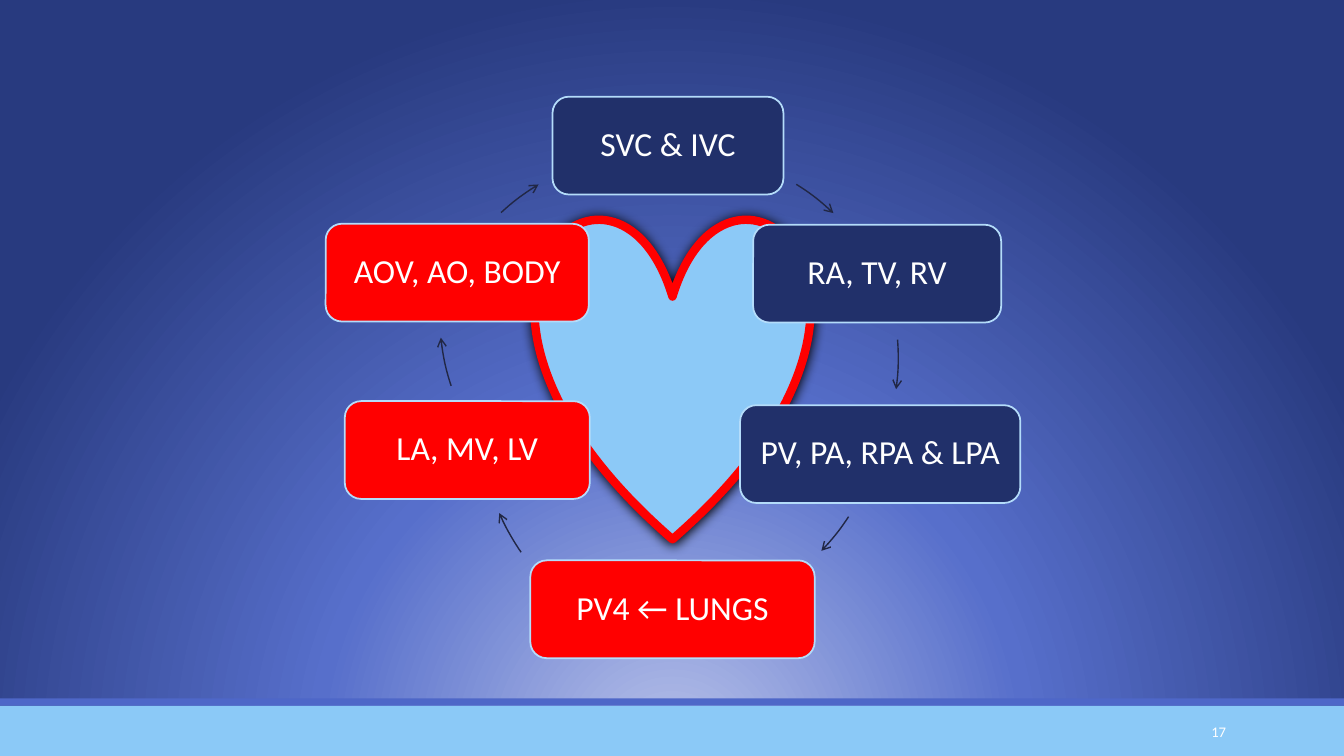
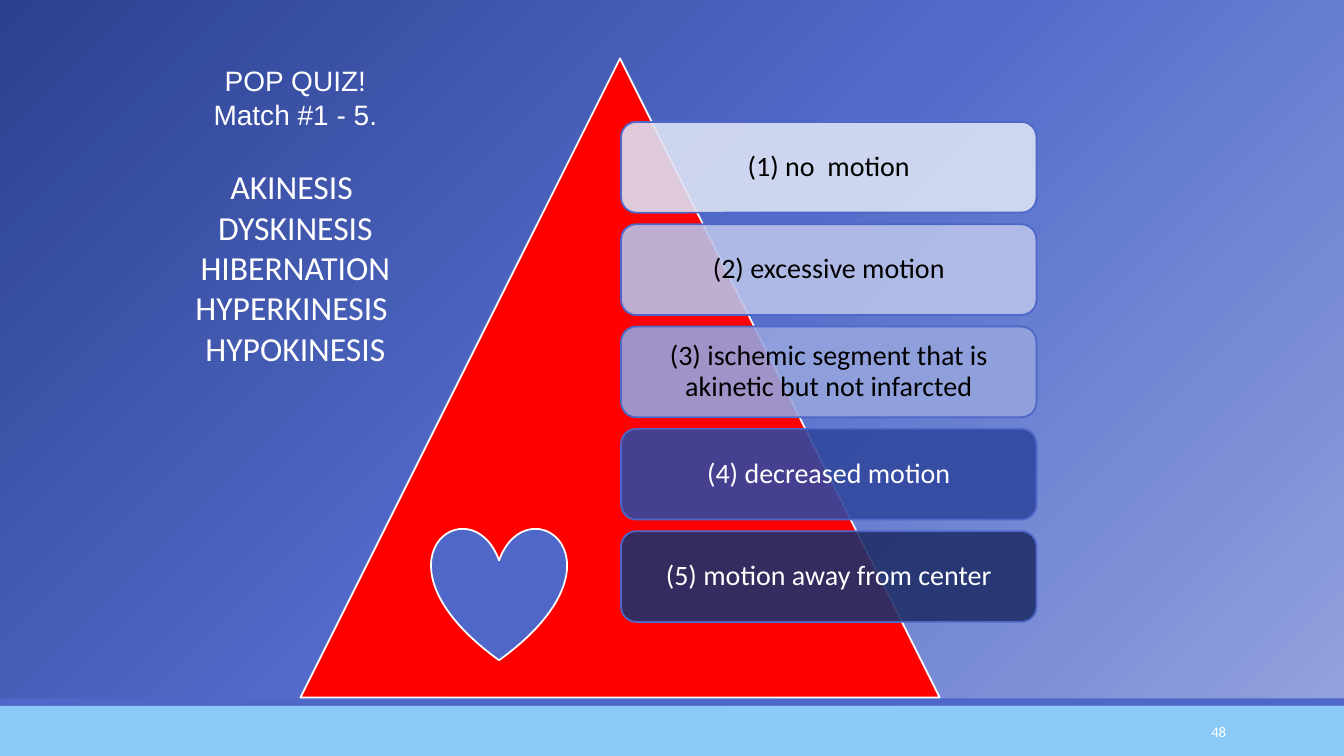
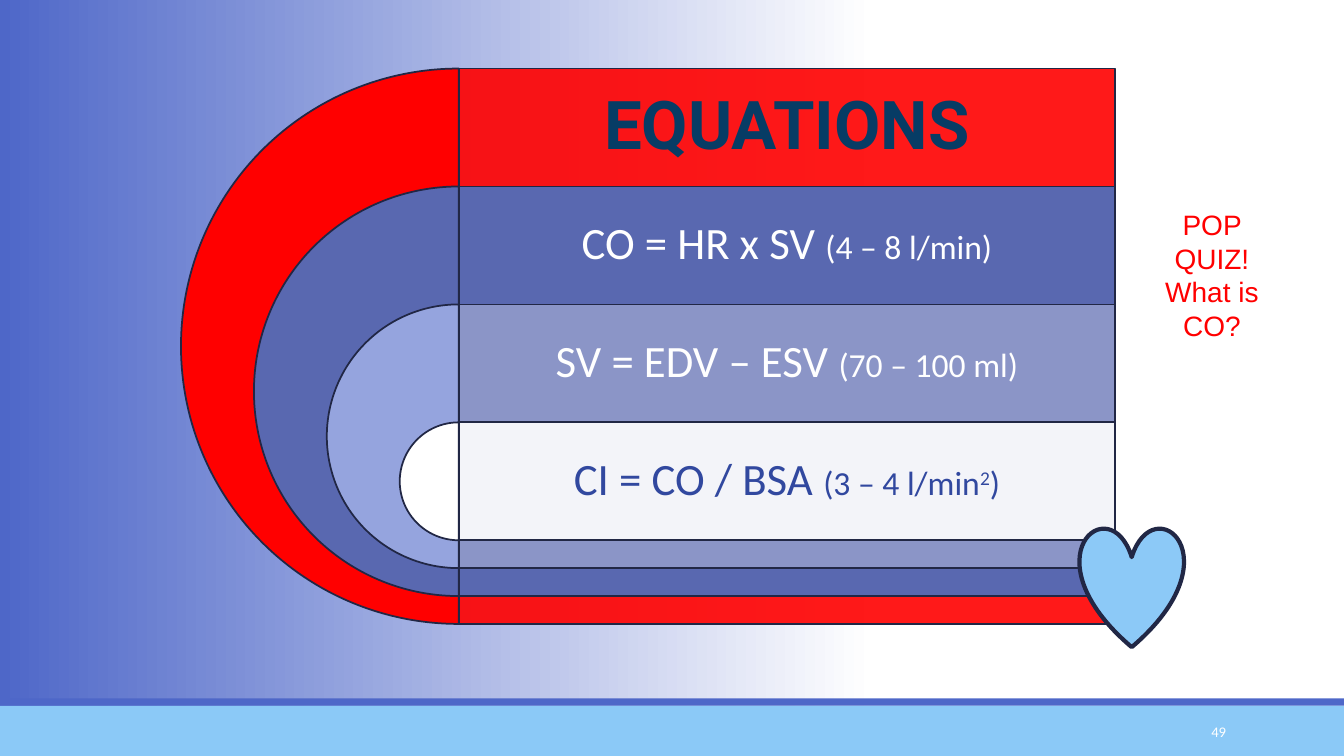
"""Builds three cardiology slides: blood flow, wall motion quiz and equations."""
import dataclasses

import lxml.etree
import pptx
import pptx.dml.color
import pptx.enum.shapes
import pptx.enum.text
import pptx.oxml.ns
import pptx.util

Inches = pptx.util.Inches
Pt = pptx.util.Pt
PRESET = pptx.enum.shapes.MSO_SHAPE
ANCHOR = pptx.enum.text.MSO_ANCHOR
ALIGN = pptx.enum.text.PP_ALIGN
qn = pptx.oxml.ns.qn


@dataclasses.dataclass(frozen=True)
class Theme:
    """Colours, fonts and type sizes shared by the slides."""
    white: str = "FFFFFF"
    black: str = "000000"
    red: str = "FF0000"
    navy: str = "21306A"
    ink: str = "212745"
    blue: str = "4E67C8"
    royal: str = "31489F"
    slate: str = "5968B0"
    haze: str = "919ACA"
    periwinkle: str = "95A4DE"
    lavender: str = "B8C2E9"
    mist: str = "DCE1F4"
    sky: str = "8CC9F7"
    band: str = "8BC9F7"
    ice: str = "B4DCFA"
    teal: str = "073C65"
    body_font: str = "Calibri"
    quiz_font: str = "Arial"
    title_font: str = "Roboto"
    page_size: float = 10.5
    quiz_size: float = 20
    label_size: float = 24
    equation_size: float = 32
    title_size: float = 48
    thin: float = 1
    outline: float = 1.25


THEME = Theme()


def rgb(color):
    """Turn a hex string into a colour."""
    return pptx.dml.color.RGBColor.from_string(color)


def add_xml(parent, tag, **attributes):
    """Append a child element with the given attributes."""
    child = lxml.etree.SubElement(parent, qn(tag))
    for name, value in attributes.items():
        child.set(name, str(value))
    return child


def write(shape, *paragraphs, size=THEME.label_size, font=THEME.body_font, color=THEME.white,
          bold=False, align=ALIGN.CENTER, anchor=ANCHOR.MIDDLE, inset=(0.1, 0.05), spacing=1.0):
    """Fill a shape with paragraphs, each a string or a list of (text, size, baseline) runs."""
    frame = shape.text_frame
    frame.auto_size = pptx.enum.text.MSO_AUTO_SIZE.NONE
    frame.word_wrap = True
    frame.vertical_anchor = anchor
    frame.margin_left = frame.margin_right = Inches(inset[0])
    frame.margin_top = frame.margin_bottom = Inches(inset[1])
    for index, content in enumerate(paragraphs):
        paragraph = frame.paragraphs[0] if index == 0 else frame.add_paragraph()
        properties = paragraph._p.get_or_add_pPr()
        properties.set("marL", "0")
        properties.set("indent", "0")
        add_xml(properties, "a:buNone")
        paragraph.alignment = align
        paragraph.line_spacing = spacing
        paragraph.space_before = Pt(0)
        pieces = [(content, size, 0)] if isinstance(content, str) else content
        for text, run_size, baseline in pieces:
            run = paragraph.add_run()
            run.text = text
            run.font.name = font
            run.font.size = Pt(run_size)
            run.font.bold = bold
            run.font.color.rgb = rgb(color)
            if baseline:
                run._r.get_or_add_rPr().set("baseline", str(baseline * 1000))


def place(shape, left, top, width, height):
    """Move a placeholder to a place in inches."""
    shape.left, shape.top = Inches(left), Inches(top)
    shape.width, shape.height = Inches(width), Inches(height)
    return shape


def text_box(slide, place_at, *paragraphs, **style):
    """Add a text box with formatted text."""
    write(slide.shapes.add_textbox(*map(Inches, place_at)), *paragraphs, **style)


def preset(slide, kind, place_at, fill=None, line=None, width=THEME.outline,
           opacity=100, angles=()):
    """Add a preset shape with its fill, outline and angles in degrees."""
    shape = slide.shapes.add_shape(kind, *map(Inches, place_at))
    shape.shadow.inherit = False
    if fill:
        shape.fill.solid()
        shape.fill.fore_color.rgb = rgb(fill)
        if opacity < 100:
            tint = shape.element.spPr.find(qn("a:solidFill"))[0]
            add_xml(tint, "a:alpha", val=opacity * 1000)
    else:
        shape.fill.background()
    if line:
        shape.line.color.rgb = rgb(line)
        shape.line.width = Pt(width)
    else:
        shape.line.fill.background()
    for index, degrees in enumerate(angles):
        shape.adjustments[index] = degrees * 0.6
    return shape


def flow_arrow(slide, left, top, start, end):
    """Add an arc with an arrowhead, between two angles of the flow circle."""
    diameter = 4.6
    arc = preset(slide, PRESET.ARC, (left, top, diameter, diameter), line=THEME.ink,
                 width=THEME.thin, angles=(start, end))
    add_xml(arc.element.spPr.find(qn("a:ln")), "a:tailEnd", type="arrow")


def drop_shadow(shape, blur, distance, color):
    """Give a shape a shadow that falls straight down."""
    effects = shape.element.spPr.find(qn("a:effectLst"))
    shadow = add_xml(effects, "a:outerShdw", blurRad=Pt(blur), dist=Pt(distance),
                     dir=90 * 60000, algn="ctr", rotWithShape=0)
    add_xml(shadow, "a:srgbClr", val=color)


def gradient_background(slide, stops, focus=None, angle=0):
    """Paint the background with a circular gradient around a focus, or a linear one."""
    slide.background.fill.gradient()
    gradient = slide.element.find(".//" + qn("a:gradFill"))
    for child in list(gradient):
        gradient.remove(child)
    stop_list = add_xml(gradient, "a:gsLst")
    for position, color in stops:
        add_xml(add_xml(stop_list, "a:gs", pos=position * 1000), "a:srgbClr", val=color)
    if focus:
        circle = add_xml(gradient, "a:path", path="circle")
        sides = {side: share * 1000 for side, share in zip("ltrb", focus)}
        add_xml(circle, "a:fillToRect", **sides)
    else:
        add_xml(gradient, "a:lin", ang=angle * 60000, scaled=0)


def add_bands(deck, slide):
    """Put the two bottom bands on the master."""
    for top, height, color in ((7, 0.5, THEME.band), (6.93, 0.07, THEME.blue)):
        band = preset(slide, PRESET.RECTANGLE, (0, top, 13.33, height), color)
        deck.slide_master.shapes.element.append(band.element)


def new_slide(deck, layout, page, **background):
    """Add a slide with its background and page number."""
    slide = deck.slides.add_slide(deck.slide_layouts[layout])
    gradient_background(slide, **background)
    text_box(slide, (10.83, 7.06, 1.43, 0.4), page, size=THEME.page_size, align=ALIGN.RIGHT)
    return slide


def blood_flow(deck):
    """Build the circle of blood flow around the heart."""
    slide = new_slide(deck, 6, "17", focus=(50, 130, 50, -30),
                      stops=((0, THEME.lavender), (46, "576FCB"), (100, "283A7F")))
    add_bands(deck, slide)
    heart = preset(slide, PRESET.HEART, (5.31, 2.14, 2.72, 3.21), THEME.sky, THEME.red, 6)
    drop_shadow(heart, 8.5, 1, THEME.black)
    stations = (
        ("SVC & IVC", 5.48, 0.96, 2.29, THEME.navy),
        ("RA, TV, RV", 7.47, 2.23, 2.46, THEME.navy),
        ("PV, PA, RPA & LPA", 7.34, 4.02, 2.78, THEME.navy),
        ("PV4 ← LUNGS", 5.26, 5.56, 2.82, THEME.red),
        ("LA, MV, LV", 3.42, 3.98, 2.43, THEME.red),
        ("AOV, AO, BODY", 3.23, 2.22, 2.61, THEME.red),
    )
    for label, left, top, width, color in stations:
        station = preset(slide, PRESET.ROUNDED_RECTANGLE, (left, top, width, 0.97),
                         color, THEME.ice)
        write(station, label, inset=(0.1, 0.1), spacing=0.9)
    arrows = (
        (4.38, 1.48, 302, 313.6),
        (4.31, 1.25, 355.5, 7.8),
        (4.19, 1.57, 33.1, 43.9),
        (4.76, 1.87, 145.3, 156.4),
        (4.36, 0.81, 161.8, 174),
        (4.23, 1.5, 227.3, 238.9),
    )
    for arrow in arrows:
        flow_arrow(slide, *arrow)


def motion_quiz(deck):
    """Build the wall motion matching quiz."""
    slide = new_slide(deck, 1, "48", focus=(0, 0, 100, 100),
                      stops=((0, "2C408E"), (48, "536CCA"), (100, THEME.periwinkle)))
    question = place(slide.shapes.title, 1.36, 0.58, 3.14, 0.8)
    write(question, "POP QUIZ!", "Match #1 - 5.", size=THEME.quiz_size,
          font=THEME.quiz_font, anchor=ANCHOR.TOP)
    terms = place(slide.placeholders[1], 1.36, 1.6, 3.14, 2.11)
    write(terms, "AKINESIS ", "DYSKINESIS", "HIBERNATION", "HYPERKINESIS ", "HYPOKINESIS",
          anchor=ANCHOR.TOP)
    preset(slide, PRESET.ISOSCELES_TRIANGLE, (2.98, 0.58, 6.34, 6.34), THEME.red, THEME.white)
    definitions = (
        ("(1) no  motion", THEME.mist, THEME.black),
        ("(2) excessive motion", THEME.lavender, THEME.black),
        ("(3) ischemic segment that is akinetic but not infarcted", THEME.periwinkle, THEME.black),
        ("(4) decreased motion", THEME.royal, THEME.white),
        ("(5) motion away from center", THEME.navy, THEME.white),
    )
    height, gap = 0.9, 0.115
    for row, (definition, fill, color) in enumerate(definitions):
        answer = preset(slide, PRESET.ROUNDED_RECTANGLE,
                        (6.16, 1.21 + row * (height + gap), 4.12, height),
                        fill, THEME.blue, opacity=90)
        write(answer, definition, size=THEME.quiz_size, color=color, inset=(0.08, 0.08),
              spacing=0.9)
    preset(slide, PRESET.HEART, (4.28, 5.23, 1.34, 1.32), THEME.blue, THEME.white)


def equations(deck):
    """Build the nested half rings with one equation each."""
    slide = new_slide(deck, 5, "49", angle=180,
                      stops=((0, THEME.white), (35, THEME.white), (100, THEME.blue)))
    large, small = THEME.equation_size, THEME.label_size
    rings = (
        (THEME.red, THEME.red, 90, THEME.teal, None),
        (THEME.slate, THEME.slate, 100, THEME.white,
         [("CO = HR x SV ", large, 0), ("(4 – 8 l/min)", small, 0)]),
        (THEME.periwinkle, THEME.haze, 90, THEME.white,
         [("SV = EDV – ESV ", large, 0), ("(70 – 100 ml)", small, 0)]),
        (THEME.white, THEME.white, 90, THEME.royal,
         [("CI = CO / BSA ", large, 0), ("(3 – 4 l/min", small, 0), ("2", small, 30),
          (")", small, 0)]),
    )
    axis, first_top, width, row_height, outer = 4.55, 0.68, 6.51, 1.17, 5.51
    step = (outer - row_height) / (len(rings) - 1)
    for row, (ring_fill, bar_fill, opacity, color, equation) in enumerate(rings):
        top, diameter = first_top + row * row_height, outer - row * step
        preset(slide, PRESET.PIE, (axis - diameter / 2, top, diameter, diameter),
               ring_fill, THEME.ink, angles=(90, 270))
        preset(slide, PRESET.RECTANGLE, (axis, top, width, diameter), bar_fill, THEME.ink,
               opacity=opacity)
        if equation:
            text_box(slide, (axis, top, width, row_height), equation, color=color,
                     inset=(0.13, 0.13), spacing=0.9)
        else:
            heading = place(slide.shapes.title, axis, top, width, row_height)
            write(heading, "EQUATIONS", size=THEME.title_size, font=THEME.title_font,
                  color=color, bold=True, inset=(0.2, 0.2), spacing=0.9)
            slide.shapes.element.append(heading.element)
    preset(slide, PRESET.HEART, (10.71, 5.23, 1.03, 1.19), THEME.sky, THEME.ink, 3)
    text_box(slide, (11.37, 2.01, 1.3, 1.4), "POP QUIZ!", "What is CO?", size=THEME.quiz_size,
             font=THEME.quiz_font, color=THEME.red, anchor=ANCHOR.TOP)


def main():
    """Build and save the deck."""
    deck = pptx.Presentation()
    deck.slide_width, deck.slide_height = Inches(13.33), Inches(7.5)
    blood_flow(deck)
    motion_quiz(deck)
    equations(deck)
    deck.save("out.pptx")


if __name__ == "__main__":
    main()
